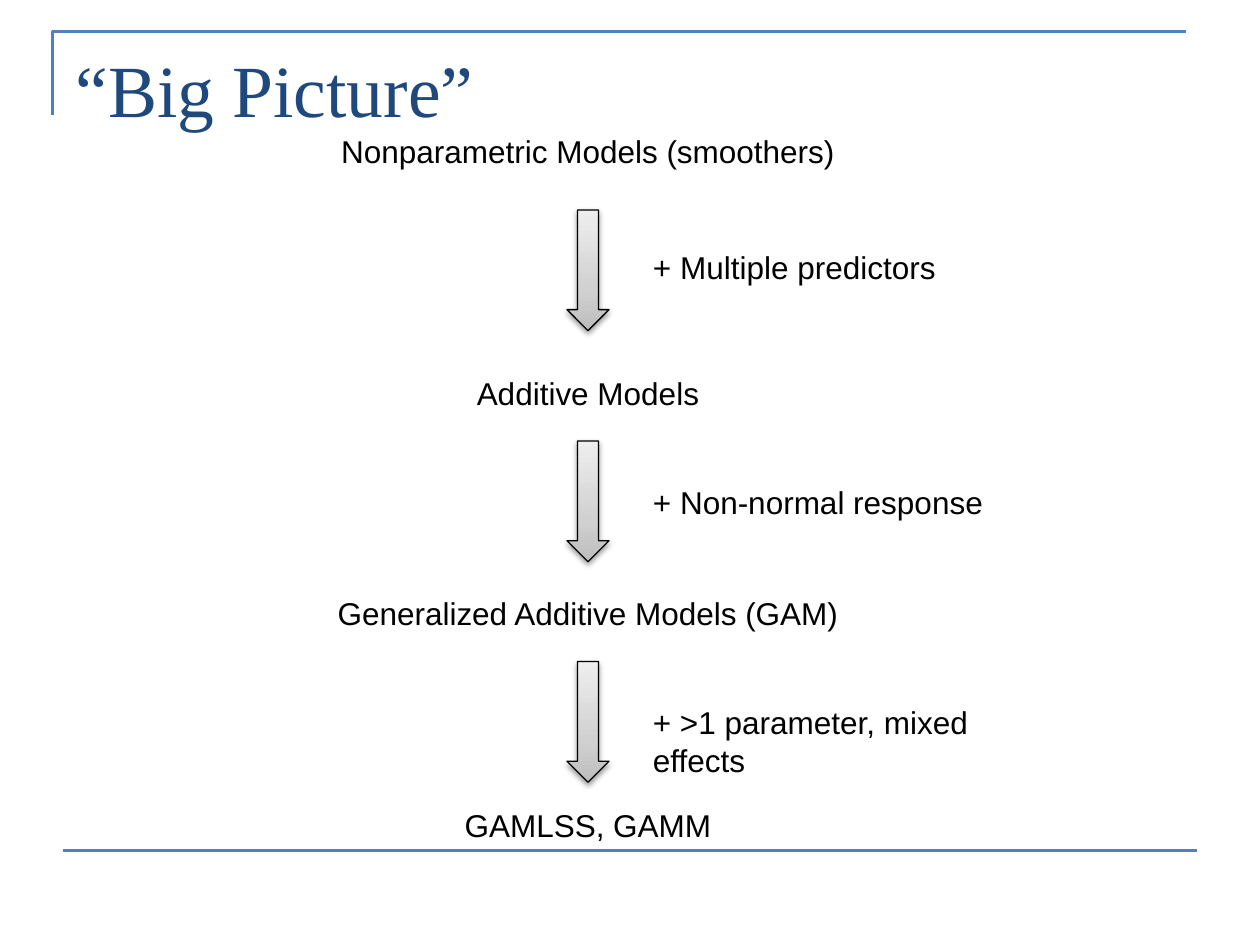
"""Build the "Big Picture" slide: a chain of models linked by arrows."""
from lxml import etree
from pptx import Presentation, util as u
from pptx.dml.color import RGBColor
from pptx.enum import shapes, text
from pptx.oxml import parse_xml
from pptx.oxml.ns import nsdecls, qn

TITLE = "“Big Picture”"
MODELS = [
    ("Nonparametric Models (smoothers)", 120),
    ("Additive Models", 350),
    ("Generalized Additive Models (GAM)", 560),
    ("GAMLSS, GAMM", 762),
]
STEPS = [
    ("+ Multiple predictors", 200, 230, 340),
    ("+ Non-normal response", 420, 454, 340),
    ("+ >1 parameter, mixed effects", 630, 664, 401),
]
ARROW_STOPS = [(0, "BDBDBD"), (35, "D1D1D1"), (100, "EEEEEE")]
BLUE, NAVY, BLACK = "4F81BD", "1F497D", "000000"
PX = u.Inches(1) // 120


def px(*lengths):
    return [u.Emu(length * PX) for length in lengths]


def color(hex_code):
    return RGBColor.from_string(hex_code)


def style_line(line, hex_code, width):
    line.color.rgb = color(hex_code)
    line.width = u.Pt(width)


def write(box, words, size=18, font="Arial", ink=BLACK, align=text.PP_ALIGN.LEFT):
    frame = box.text_frame
    frame.word_wrap = True
    frame.vertical_anchor = text.MSO_ANCHOR.TOP
    paragraph = frame.paragraphs[0]
    paragraph.alignment = align
    run = paragraph.add_run()
    run.text = words
    run.font.size = u.Pt(size)
    run.font.name = font
    run.font.color.rgb = color(ink)


def add_label(slide, words, left, top, width, **style):
    label = slide.shapes.add_textbox(*px(left, top, width, 48))
    write(label, words, **style)
    label.text_frame.auto_size = text.MSO_AUTO_SIZE.SHAPE_TO_FIT_TEXT


def add_arrow(slide, top):
    arrow = slide.shapes.add_shape(shapes.MSO_SHAPE.DOWN_ARROW, *px(540, top, 40, 115))
    style_line(arrow.line, BLACK, 0.75)
    arrow.fill.gradient()
    arrow.fill.gradient_angle = 90
    stops = next(arrow.element.iter(qn("a:gsLst")))
    for stop in list(stops):
        stops.remove(stop)
    for position, hex_code in ARROW_STOPS:
        stop = etree.SubElement(stops, qn("a:gs"), pos=str(position * 1000))
        etree.SubElement(stop, qn("a:srgbClr"), val=hex_code)
    arrow.shadow.inherit = False
    effects = arrow.element.spPr.find(qn("a:effectLst"))
    effects.append(parse_xml(
        f'<a:outerShdw {nsdecls("a")} blurRad="40000" dist="20000" dir="5400000" rotWithShape="0">'
        f'<a:srgbClr val="{BLACK}"><a:alpha val="38000"/></a:srgbClr></a:outerShdw>'))


def add_frame(slide):
    builder = slide.shapes.build_freeform(50, 110, scale=PX)
    builder.add_line_segments([(50, 30), (1130, 30)], close=False)
    corner = builder.convert_to_shape()
    corner.fill.background()
    corner.shadow.inherit = False
    style_line(corner.line, BLUE, 1.5)

    baseline = slide.shapes.add_connector(
        shapes.MSO_CONNECTOR.STRAIGHT, *px(60, 810, 1140, 810))
    style_line(baseline.line, BLUE, 1.5)
    etree.SubElement(baseline.element.spPr, qn("a:effectLst"))


def main():
    deck = Presentation()
    deck.slide_width, deck.slide_height = px(1200, 900)
    slide = deck.slides.add_slide(deck.slide_layouts[5])
    add_frame(slide)

    title = slide.shapes.title
    title.left, title.top, title.width, title.height = px(60, 36, 1080, 150)
    write(title, TITLE, size=42, font="Times New Roman", ink=NAVY)

    for model, top in MODELS:
        add_label(slide, model, 290, top, 540, align=text.PP_ALIGN.CENTER)
    for step, arrow_top, label_top, width in STEPS:
        add_arrow(slide, arrow_top)
        add_label(slide, step, 610, label_top, width)

    deck.save("out.pptx")


if __name__ == "__main__":
    main()
